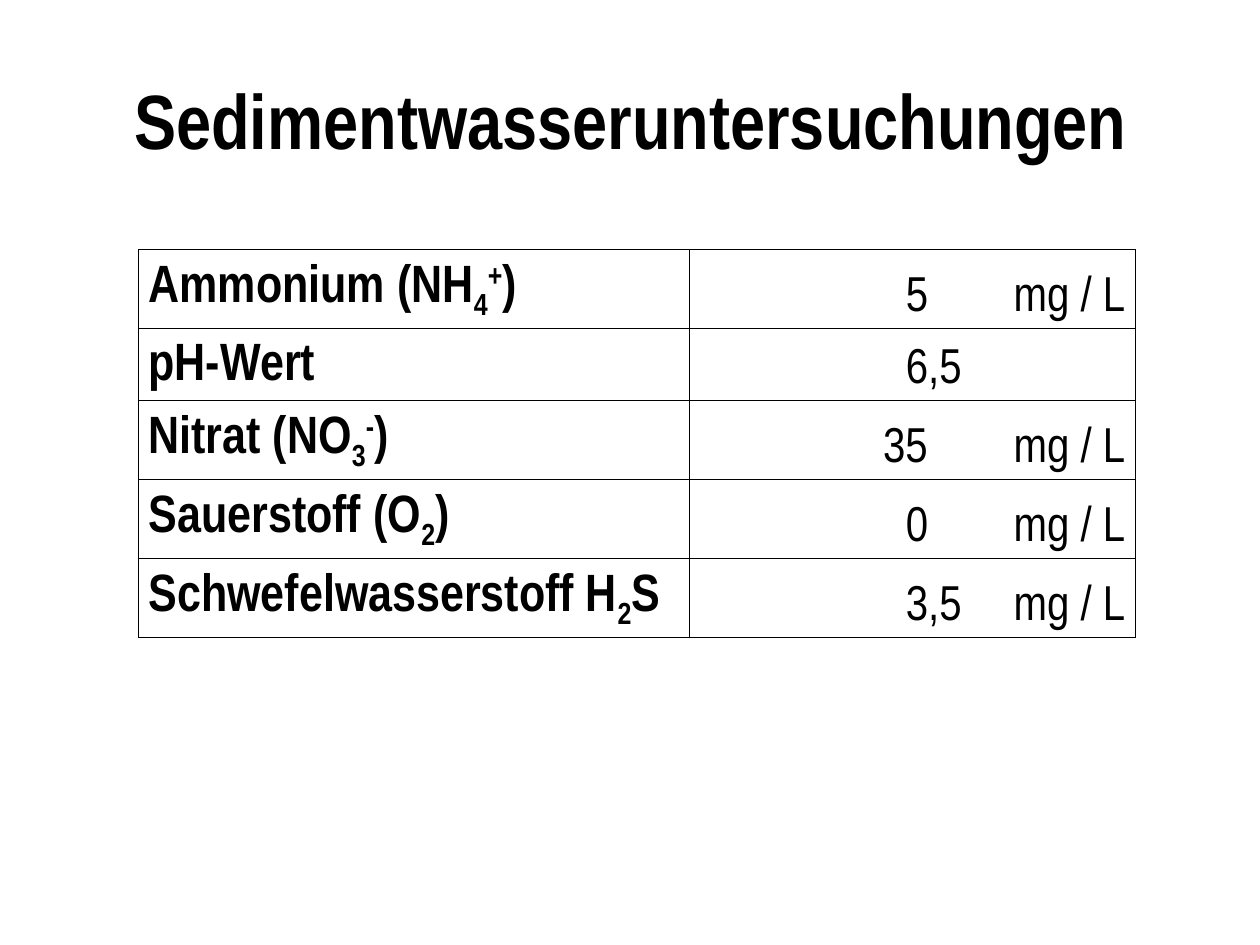
"""Build the slide with the table of sediment water measurements."""
from lxml.etree import SubElement
from pptx import Presentation
from pptx.dml.color import RGBColor
from pptx.enum.text import MSO_ANCHOR, PP_ALIGN
from pptx.oxml.ns import qn
from pptx.util import Inches, Pt

COLORS = {"text": "000000", "border": "000000"}
FONT = "Arial Narrow"
BASELINES = {"normal": 0, "sub": -25000, "super": 30000}
COLUMN_WIDTHS = [4.37, 1.46, 0.9, 1.18]
ROW_HEIGHT = 0.57
CELL_MARGIN = 0.08
DIGIT_INDENT = 0.18
MEASUREMENTS = [
    ([("Ammonium (NH", "normal"), ("4", "sub"), ("+", "super"), (")", "normal")], "5", "mg / L"),
    ([("pH-Wert", "normal")], "6,5", ""),
    ([("Nitrat (NO", "normal"), ("3", "sub"), ("-", "super"), (")", "normal")], "35", "mg / L"),
    ([("Sauerstoff (O", "normal"), ("2", "sub"), (")", "normal")], "0", "mg / L"),
    ([("Schwefelwasserstoff H", "normal"), ("2", "sub"), ("S", "normal")], "3,5", "mg / L"),
]


def format_font(font, size, bold):
    font.name = FONT
    font.size = Pt(size)
    font.bold = bold
    font.color.rgb = RGBColor.from_string(COLORS["text"])


def set_borders(cell, visible_sides):
    properties = cell._tc.get_or_add_tcPr()
    for index, side in enumerate("LRTB"):
        line = SubElement(properties, qn(f"a:ln{side}"), w=str(Pt(0.45)))
        properties.insert(index, line)
        if side in visible_sides:
            fill = SubElement(line, qn("a:solidFill"))
            SubElement(fill, qn("a:srgbClr"), val=COLORS["border"])
        else:
            SubElement(line, qn("a:noFill"))


presentation = Presentation()
presentation.slide_width = Inches(10)
presentation.slide_height = Inches(7.5)
slide = presentation.slides.add_slide(presentation.slide_layouts[5])

title = slide.shapes.title
title.left, title.top = Inches(0.51), Inches(0.32)
title.width, title.height = Inches(9), Inches(1.25)
title.text_frame.text = "Sedimentwasseruntersuchungen"
title.text_frame.vertical_anchor = MSO_ANCHOR.MIDDLE
title_paragraph = title.text_frame.paragraphs[0]
title_paragraph.alignment = PP_ALIGN.CENTER
format_font(title_paragraph.runs[0].font, 44, True)

table = slide.shapes.add_table(
    len(MEASUREMENTS), len(COLUMN_WIDTHS), Inches(1.1), Inches(1.98),
    Inches(sum(COLUMN_WIDTHS)), Inches(ROW_HEIGHT * len(MEASUREMENTS)),
).table
table.first_row = False
table.horz_banding = False
for column, width in zip(table.columns, COLUMN_WIDTHS):
    column.width = Inches(width)

for row_index, (substance, value, unit) in enumerate(MEASUREMENTS):
    table.rows[row_index].height = Inches(ROW_HEIGHT)
    contents = [substance, [], [(value, "normal")], [(unit, "normal")] if unit else []]
    for column_index, (pieces, sides) in enumerate(zip(contents, ["LRTB", "LTB", "TB", "RTB"])):
        cell = table.cell(row_index, column_index)
        cell.fill.background()
        cell.margin_left = cell.margin_right = Inches(CELL_MARGIN)
        cell.margin_top = cell.margin_bottom = Inches(0.05)
        set_borders(cell, sides)
        if not pieces:
            continue
        is_substance = column_index == 0
        cell.vertical_anchor = MSO_ANCHOR.TOP if is_substance else MSO_ANCHOR.BOTTOM
        paragraph = cell.text_frame.paragraphs[0]
        paragraph.line_spacing = 1.15
        paragraph.alignment = PP_ALIGN.RIGHT if column_index == 3 else PP_ALIGN.LEFT
        for text, position in pieces:
            run = paragraph.add_run()
            run.text = text
            format_font(run.font, 30 if is_substance else 28, is_substance)
            if position != "normal":
                run.font._element.set("baseline", str(BASELINES[position]))
    if len(value.split(",")[0]) == 1:
        table.cell(row_index, 2).margin_left = Inches(CELL_MARGIN + DIGIT_INDENT)

presentation.save("out.pptx")
